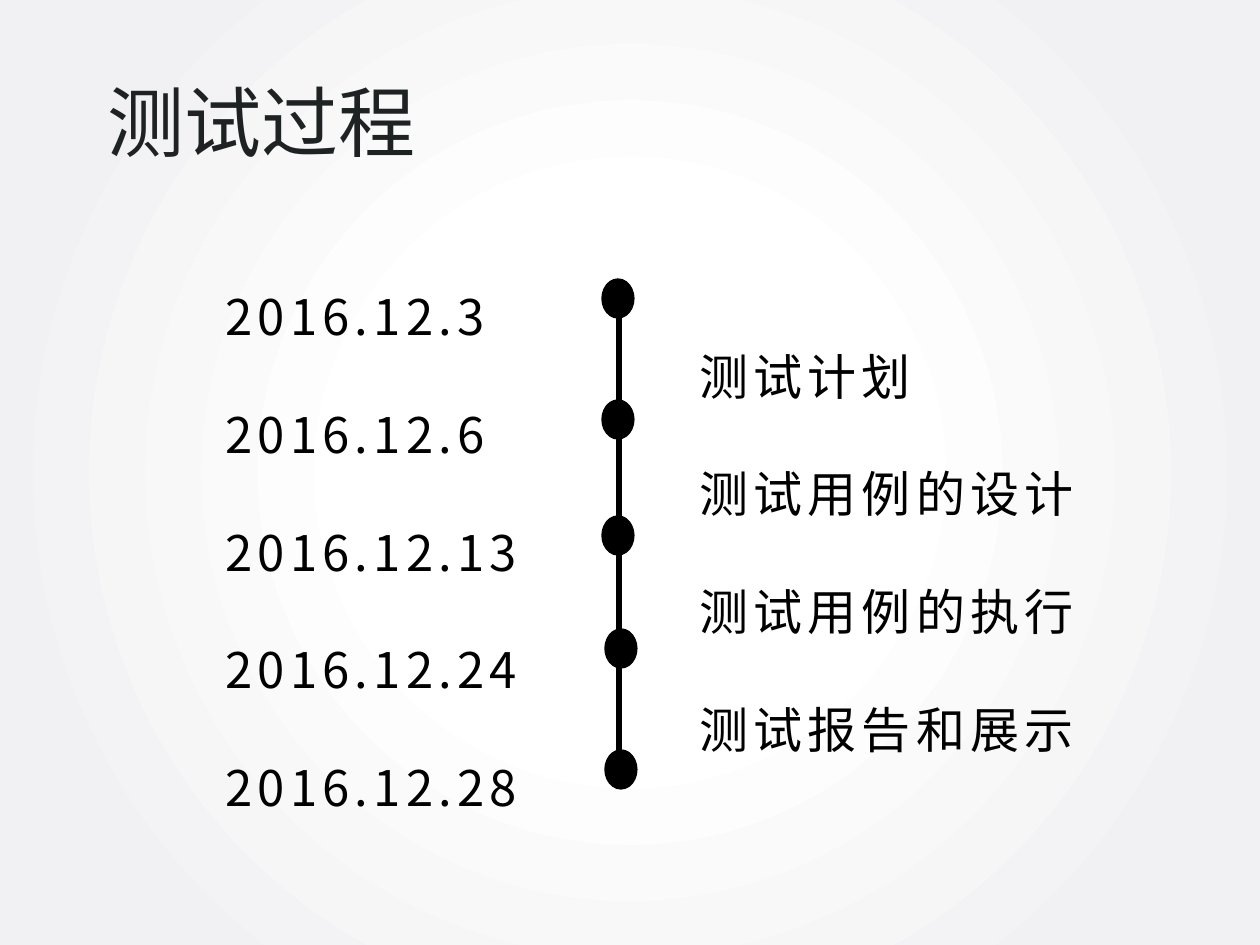
"""Build the test process timeline slide."""
from lxml import etree
from pptx import Presentation
from pptx import util as u
from pptx.dml.color import RGBColor
from pptx.enum import shapes, text
from pptx.oxml.ns import qn

TITLE = "测试过程"
DATES = ["2016.12.3", "2016.12.6", "2016.12.13", "2016.12.24", "2016.12.28"]
STEPS = ["测试计划", "测试用例的设计", "测试用例的执行", "测试报告和展示"]
DOTS = [(604, 281), (604, 402), (604, 518), (607, 631), (607, 752)]
DOT_SIZE = (28, 35)
AXIS = (619, 285, 619, 788)
BACKDROP = [(0.33, "FFFFFF"), (0.83, "F1F1F3")]
CJK = "Noto Sans CJK SC"
BLACK = "000000"


def px(*values):
    return [round(value * u.Inches(1) / 126) for value in values]


def color(value):
    return RGBColor.from_string(value)


def paint_background(page):
    fill = page.background.fill
    fill.gradient()
    for stop, (position, value) in zip(fill.gradient_stops, BACKDROP):
        stop.position = position
        stop.color.rgb = color(value)
    gradient = page.element.find(".//" + qn("a:gradFill"))
    gradient.remove(gradient.find(qn("a:lin")))
    circle = etree.Element(qn("a:path"), {"path": "circle"})
    etree.SubElement(circle, qn("a:fillToRect"), dict.fromkeys("ltrb", "50000"))
    gradient.find(qn("a:gsLst")).addnext(circle)


def write(box, lines, size, font, value, line_spacing=1, tracking=0):
    frame = box.text_frame
    frame.word_wrap = False
    frame.auto_size = text.MSO_AUTO_SIZE.SHAPE_TO_FIT_TEXT
    frame.vertical_anchor = text.MSO_ANCHOR.TOP
    for index, line in enumerate(lines):
        para = frame.add_paragraph() if index else frame.paragraphs[0]
        para.alignment = text.PP_ALIGN.LEFT
        para.line_spacing = line_spacing
        para.space_before = u.Pt(0)
        span = para.add_run()
        span.text = line
        span.font.size = u.Pt(size)
        span.font.name = font
        span.font.color.rgb = color(value)
        props = span.font._element
        props.set("spc", str(tracking * 100))
        etree.SubElement(props, qn("a:ea"), typeface=CJK)


def add_timeline(page):
    group = page.shapes.add_group_shape()
    axis = group.shapes.add_connector(shapes.MSO_CONNECTOR.STRAIGHT, *px(*AXIS))
    etree.SubElement(axis._element.spPr, qn("a:effectLst"))
    parts = [axis]
    for spot in DOTS:
        dot = group.shapes.add_shape(shapes.MSO_SHAPE.OVAL, *px(*spot, *DOT_SIZE))
        dot.shadow.inherit = False
        dot.fill.solid()
        dot.fill.fore_color.rgb = color(BLACK)
        parts.append(dot)
    for part in parts:
        part.line.color.rgb = color(BLACK)
        part.line.width = u.Pt(3)


def main():
    deck = Presentation()
    deck.slide_width, deck.slide_height = px(1260, 945)
    page = deck.slides.add_slide(deck.slide_layouts[5])
    paint_background(page)
    title = page.shapes.title
    title.left, title.top, title.width, title.height = px(95, 68, 336, 106)
    write(title, [TITLE], 44, "Lato", "1E2223")
    for place, lines in [((213, 222, 359, 606), DATES), ((687, 281, 410, 488), STEPS)]:
        box = page.shapes.add_textbox(*px(*place))
        write(box, lines, 28, CJK, BLACK, line_spacing=2, tracking=3)
    add_timeline(page)
    deck.save("out.pptx")


if __name__ == "__main__":
    main()
